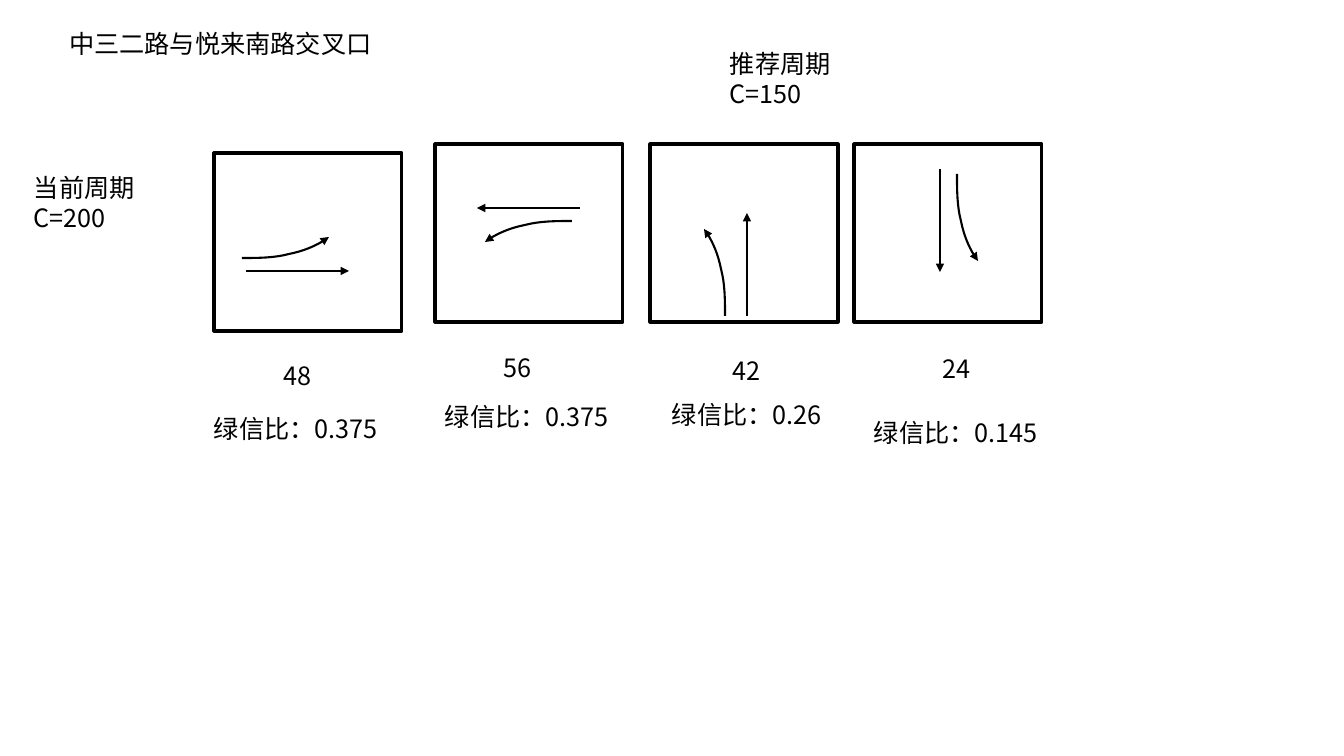
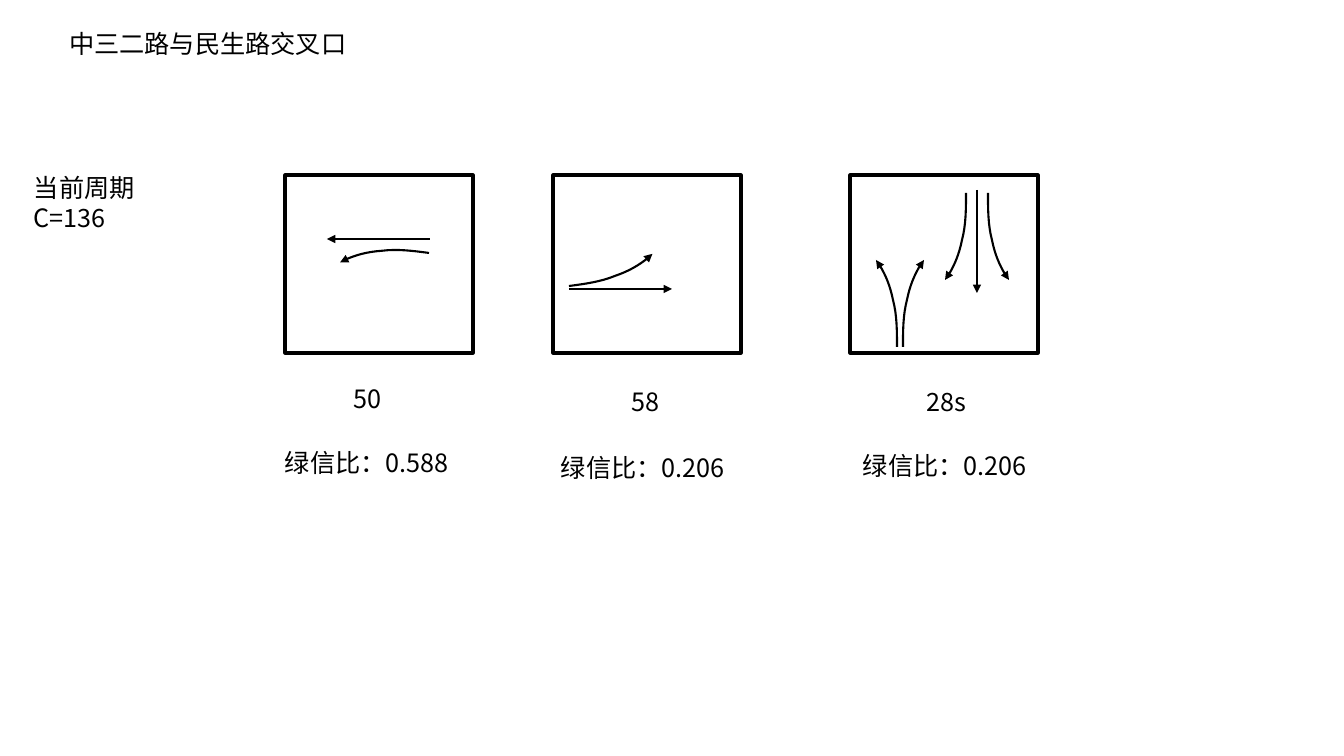
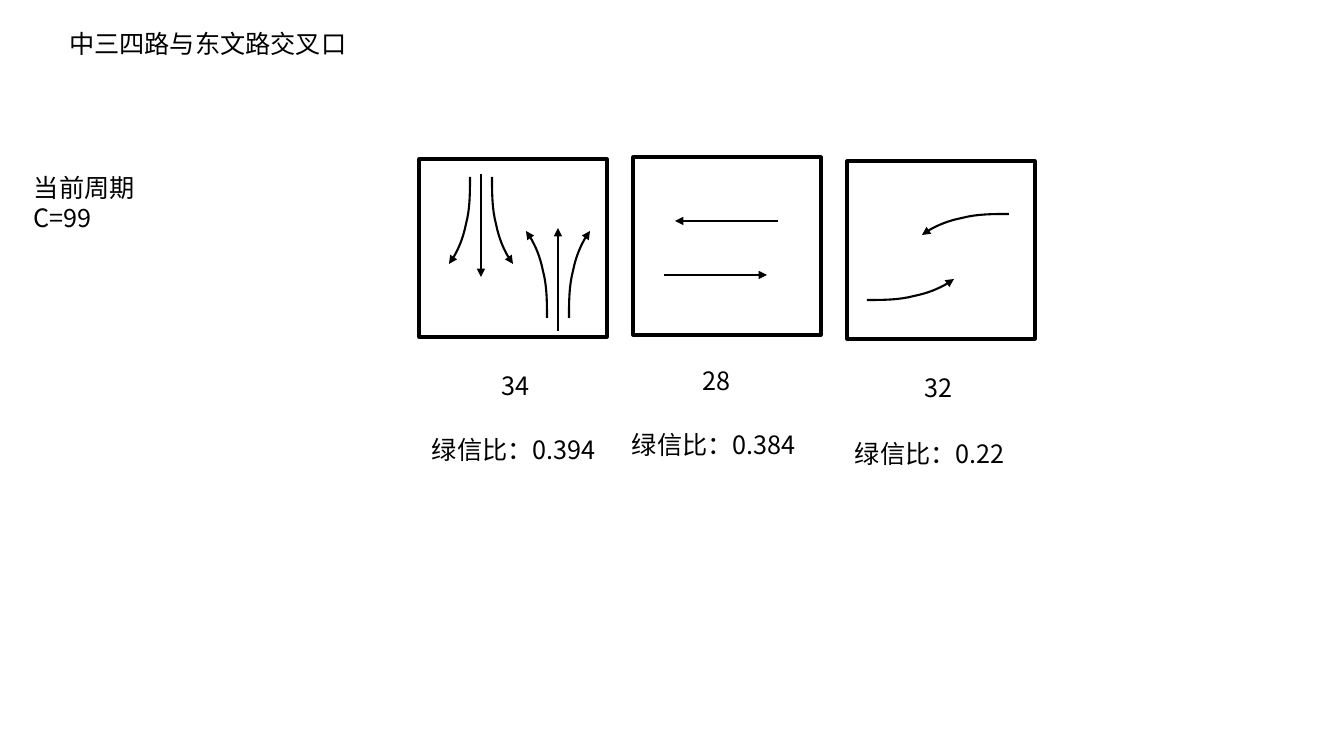
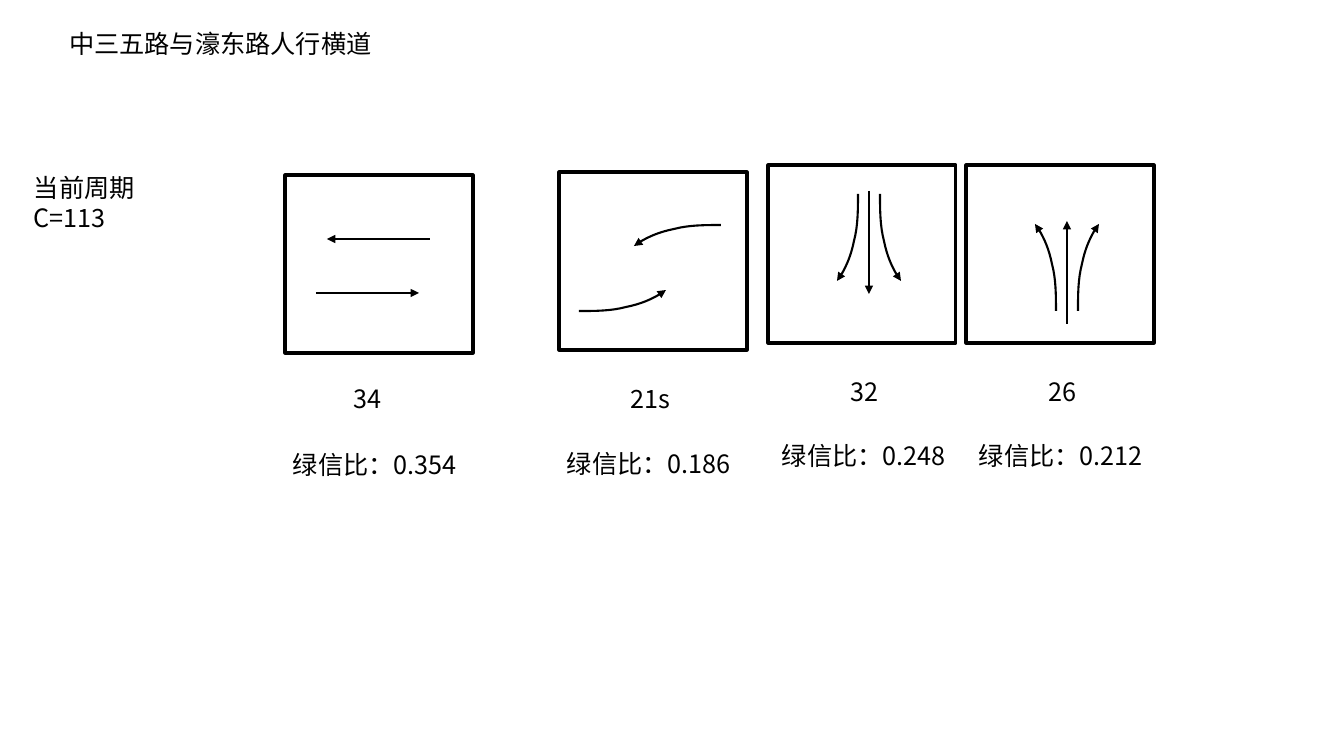
import math

import lxml.etree
import pptx
import pptx.dml.color
import pptx.enum.shapes
import pptx.enum.text
import pptx.oxml
import pptx.oxml.ns
import pptx.util

SCALE = 914400 / 100.8
INK = "000000"
FONT = {"name": "Noto Sans CJK SC", "size": pptx.util.Pt(18), "bold": False}
FRAME = {"word_wrap": True, "vertical_anchor": pptx.enum.text.MSO_ANCHOR.TOP}
LEFT, CENTER = pptx.enum.text.PP_ALIGN.LEFT, pptx.enum.text.PP_ALIGN.CENTER
TITLE_BOX = (59, 23, 427, 40)
CURRENT_BOX = (24, 167, 130, 72)
ADVISED_BOX = (720, 43, 130, 72)
PHASE_W, PHASE_H = 188, 178
EAST, SOUTH, WEST, NORTH = 0, 90, 180, 270
AHEAD, TO_LEFT, TO_RIGHT = 0, 1, -1
STRAIGHT_LENGTH = 103
LANE_GAP = 11
BEND = [(0, 0), (16, 0), (32, 0), (47, 4), (62, 7), (80, 15), (87, 21)]


def px(n):
    """Turn pixels into EMU."""
    return pptx.util.Emu(round(n * SCALE))


def color(value):
    """Turn a hex string into a colour."""
    return pptx.dml.color.RGBColor.from_string(value)


def place(x, y, heading, forward, left):
    """Return the point that lies forward and left of (x, y)."""
    a = math.radians(heading)
    return (x + forward * math.cos(a) + left * math.sin(a),
            y + forward * math.sin(a) - left * math.cos(a))


def fan(heading, x, y, lead):
    """List a straight move with a left and a right turn beside it."""
    turns = [(heading, side, *place(x, y, heading, lead, side * LANE_GAP))
             for side in (TO_LEFT, TO_RIGHT)]
    return [(heading, AHEAD, x, y), *turns]


def write(tf, lines, align=LEFT):
    """Write one formatted paragraph for each line."""
    for name, value in FRAME.items():
        setattr(tf, name, value)
    for i, line in enumerate(lines):
        p = tf.add_paragraph() if i else tf.paragraphs[0]
        p.alignment = align
        r = p.add_run()
        r.text = line
        for name, value in FONT.items():
            setattr(r.font, name, value)
        r.font.color.rgb = color(INK)
        ea = lxml.etree.SubElement(r.font._element, pptx.oxml.ns.qn("a:ea"))
        ea.set("typeface", FONT["name"])


def add_title(s, text):
    """Move the title placeholder and fill it."""
    sp = s.shapes.title
    sp.left, sp.top, sp.width, sp.height = map(px, TITLE_BOX)
    sp.text_frame.auto_size = pptx.enum.text.MSO_AUTO_SIZE.NONE
    write(sp.text_frame, [text])


def add_text(s, box, lines, align=LEFT):
    """Add a text box that grows with its text."""
    tf = s.shapes.add_textbox(*map(px, box)).text_frame
    write(tf, lines, align)
    tf.auto_size = pptx.enum.text.MSO_AUTO_SIZE.SHAPE_TO_FIT_TEXT


def set_line(sp, width, arrow=False):
    """Draw the outline in ink, with an arrowhead if asked."""
    sp.line.color.rgb = color(INK)
    sp.line.width = pptx.util.Pt(width)
    if arrow:
        ln = sp.line._get_or_add_ln()
        lxml.etree.SubElement(ln, pptx.oxml.ns.qn("a:tailEnd")).set("type", "triangle")


def add_straight(s, x, y, heading):
    """Add the arrow of a straight move."""
    end = place(x, y, heading, STRAIGHT_LENGTH, 0)
    sp = s.shapes.add_connector(
        pptx.enum.shapes.MSO_CONNECTOR.STRAIGHT, *map(px, (x, y, *end)))
    set_line(sp, 1.5, arrow=True)
    lxml.etree.SubElement(sp._element.spPr, pptx.oxml.ns.qn("a:effectLst"))


def add_turn(s, x, y, heading, side):
    """Add the curved arrow of a turning move."""
    points = [tuple(map(px, place(x, y, heading, f, side * l))) for f, l in BEND]
    fb = s.shapes.build_freeform(*points[0])
    fb.add_line_segments(points[1:], close=False)
    sp = fb.convert_to_shape()
    segments = sp._element.xpath(".//a:lnTo")
    for i in range(0, len(segments), 3):
        curve = pptx.oxml.parse_xml(
            f"<a:cubicBezTo {pptx.oxml.ns.nsdecls('a')}/>")
        segments[i].addprevious(curve)
        for segment in segments[i:i + 3]:
            curve.append(segment[0])
            segment.getparent().remove(segment)
    sp.shadow.inherit = False
    sp.fill.background()
    set_line(sp, 1.5, arrow=True)


def add_phase(s, x, y, moves, seconds, seconds_at, ratio, ratio_at):
    """Add a signal phase: frame, moves, green time and green ratio."""
    sp = s.shapes.add_shape(pptx.enum.shapes.MSO_SHAPE.RECTANGLE,
                            *map(px, (x, y, PHASE_W, PHASE_H)))
    sp.shadow.inherit = False
    sp.fill.background()
    set_line(sp, 2.25)
    for heading, side, dx, dy in moves:
        if side == AHEAD:
            add_straight(s, x + dx, y + dy, heading)
        else:
            add_turn(s, x + dx, y + dy, heading, side)
    dx, dy = seconds_at
    add_text(s, (x + dx, y + dy, 169, 40), [seconds], CENTER)
    dx, dy = ratio_at
    add_text(s, (x + dx, y + dy, PHASE_W, 40), [f"绿信比：{ratio}"])


def add_junction(prs, title, cycle, phases, advised=None):
    """Add the slide of one junction."""
    s = prs.slides.add_slide(prs.slide_layouts[5])
    add_title(s, title)
    add_text(s, CURRENT_BOX, ["当前周期", f"C={cycle}"])
    if advised:
        add_text(s, ADVISED_BOX, ["推荐周期", f"C={advised}"])
    for phase in phases:
        add_phase(s, *phase)


BOTH_AHEAD = [(EAST, AHEAD, 31, 118), (WEST, AHEAD, 145, 64)]
BOTH_LEFT = [(EAST, TO_LEFT, 20, 139), (WEST, TO_LEFT, 162, 53)]

JUNCTIONS = [
    ("中三二路与悦来南路交叉口", 200, [
        (214, 153, [(EAST, AHEAD, 32, 118), (EAST, TO_LEFT, 28, 105)],
         "48", (-1, 202), "0.375", (-10, 255)),
        (435, 144, [(WEST, AHEAD, 145, 64), (WEST, TO_LEFT, 137, 77)],
         "56", (-2, 203), "0.375", (0, 252)),
        (650, 144, [(NORTH, AHEAD, 97, 172), (NORTH, TO_LEFT, 75, 172)],
         "42", (12, 206), "0.26", (12, 250)),
        (854, 144, [(SOUTH, AHEAD, 86, 25), (SOUTH, TO_LEFT, 103, 30)],
         "24", (18, 204), "0.145", (10, 268)),
    ], 150),
    ("中三二路与民生路交叉口", 136, [
        (285, 175, [(WEST, AHEAD, 145, 64), (WEST + 7.5, TO_LEFT, 144, 78)],
         "50", (-2, 203), "0.588", (-10, 267)),
        (553, 175, [(EAST, AHEAD, 16, 114), (EAST - 7.5, TO_LEFT, 16, 111)],
         "58", (8, 206), "0.206", (-2, 272)),
        (850, 175, [(NORTH, TO_LEFT, 47, 172), (NORTH, TO_RIGHT, 53, 172),
                    *fan(SOUTH, 127, 15, 3)],
         "28s", (12, 206), "0.206", (3, 270)),
    ]),
    ("中三四路与东文路交叉口", 99, [
        (419, 159, fan(SOUTH, 62, 15, 3) + fan(NORTH, 139, 172, 13),
         "34", (12, 206), "0.394", (3, 270)),
        (633, 157, BOTH_AHEAD, "28", (-1, 203), "0.384", (-11, 267)),
        (847, 161, BOTH_LEFT, "32", (7, 206), "0.22", (-2, 272)),
    ]),
    ("中三五路与濠东路人行横道", 113, [
        (285, 175, BOTH_AHEAD, "34", (-2, 203), "0.354", (-2, 269)),
        (559, 172, BOTH_LEFT, "21s", (7, 206), "0.186", (-2, 271)),
        (768, 165, fan(SOUTH, 101, 26, 3),
         "32", (12, 206), "0.248", (4, 270)),
        (966, 165, fan(NORTH, 101, 159, 13),
         "26", (12, 206), "0.212", (3, 270)),
    ]),
]

prs = pptx.Presentation()
prs.slide_width, prs.slide_height = px(1344), px(756)
for junction in JUNCTIONS:
    add_junction(prs, *junction)
prs.save("out.pptx")
